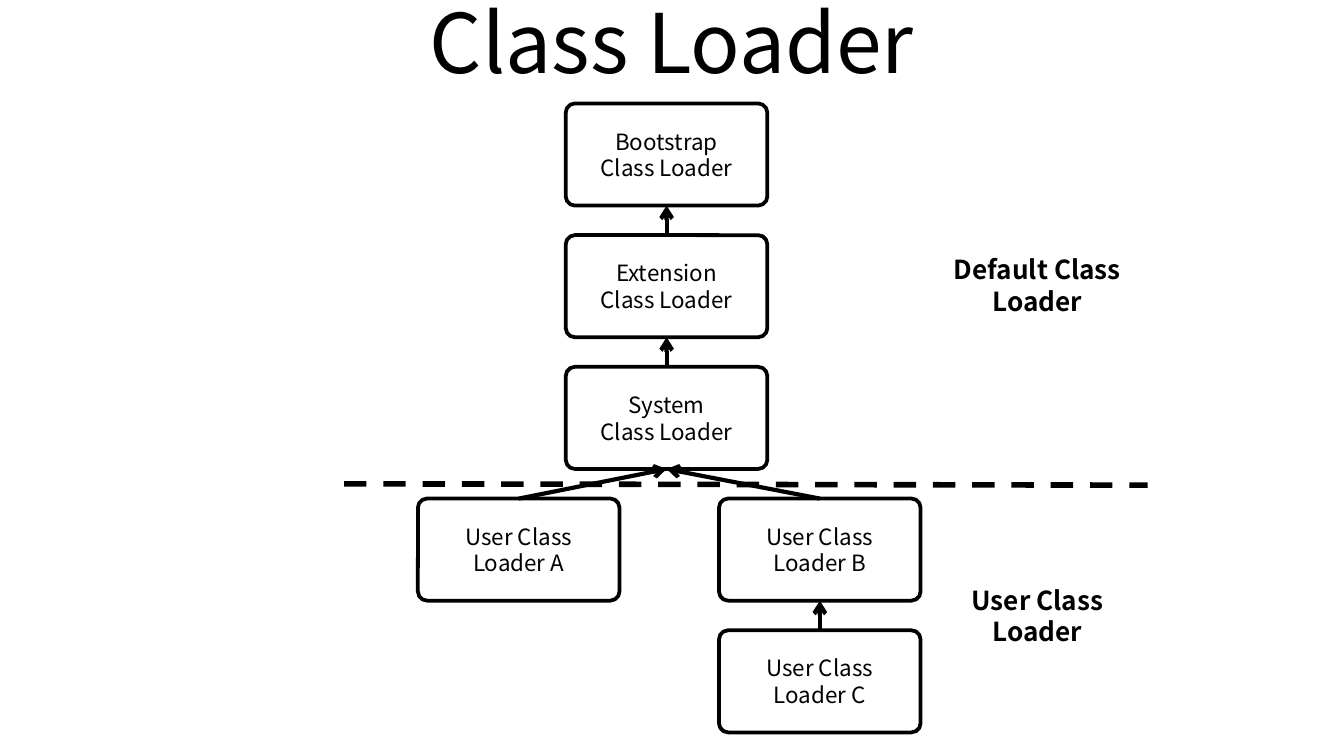
from pptx import Presentation
from pptx.dml.color import RGBColor
from pptx.enum import dml, shapes, text
from pptx.oxml.ns import qn
from pptx.util import Inches, Pt
from lxml import etree

FONT = "Noto Sans CJK KR"
BLACK = RGBColor(0, 0, 0)
WHITE = RGBColor(255, 255, 255)

TITLE = "Class Loader"
LOADERS = {
    "bootstrap": ("Bootstrap\nClass Loader", 4.21, 0),
    "extension": ("Extension\nClass Loader", 4.21, 1),
    "system": ("System\nClass Loader", 4.21, 2),
    "user_a": ("User Class Loader A", 3.11, 3),
    "user_b": ("User Class Loader B", 5.35, 3),
    "user_c": ("User Class Loader C", 5.35, 4),
}
PARENTS = [
    ("extension", "bootstrap"),
    ("system", "extension"),
    ("user_a", "system"),
    ("user_b", "system"),
    ("user_c", "user_b"),
]
GROUPS = [("User Class Loader", 4.2), ("Default Class Loader", 1.74)]
GROUP_LEFT = 6.97
BOX_WIDTH, BOX_HEIGHT = 1.5, 0.76
FIRST_TOP, ROW_STEP = 0.77, 0.98
TOP, BOTTOM = 0, 2


def write(frame, words, size, bold=False):
    frame.text = words
    frame.word_wrap = True
    frame.vertical_anchor = text.MSO_ANCHOR.MIDDLE
    for paragraph in frame.paragraphs:
        paragraph.alignment = text.PP_ALIGN.CENTER
        paragraph.font.name = FONT
        paragraph.font.size = Pt(size)
        paragraph.font.bold = bold
        paragraph.font.color.rgb = BLACK


def add_box(slide, words, left, top, size=12, bold=False, outlined=True):
    box = slide.shapes.add_shape(
        shapes.MSO_SHAPE.ROUNDED_RECTANGLE,
        Inches(left), Inches(top), Inches(BOX_WIDTH), Inches(BOX_HEIGHT))
    box.adjustments[0] = 0.09
    box.shadow.inherit = False
    box.fill.solid()
    box.fill.fore_color.rgb = WHITE
    if outlined:
        box.line.color.rgb = BLACK
        box.line.width = Pt(2)
    else:
        box.line.fill.background()
    write(box.text_frame, words, size, bold)
    return box


def add_line(slide, start, end, width):
    line = slide.shapes.add_connector(
        shapes.MSO_CONNECTOR.STRAIGHT, *map(Inches, start + end))
    line.line.color.rgb = BLACK
    line.line.width = Pt(width)
    etree.SubElement(line._element.spPr, qn("a:effectLst"))
    return line


def add_arrow(slide, child, parent):
    arrow = add_line(slide, (0, 0), (0, 0), 2.25)
    arrow.begin_connect(child, TOP)
    arrow.end_connect(parent, BOTTOM)
    etree.SubElement(arrow.line._get_or_add_ln(), qn("a:tailEnd"), type="arrow")


def main():
    deck = Presentation()
    deck.slide_width = Inches(10)
    deck.slide_height = deck.slide_width * 9 // 16
    slide = deck.slides.add_slide(deck.slide_layouts[5])

    title = slide.shapes.title
    title.left, title.top = Inches(0.5), Inches(-0.17)
    title.width, title.height = Inches(9), Inches(0.94)
    write(title.text_frame, TITLE, 44)

    boxes = {
        name: add_box(slide, words, left, FIRST_TOP + row * ROW_STEP)
        for name, (words, left, row) in LOADERS.items()
    }
    for child, parent in PARENTS:
        add_arrow(slide, boxes[child], boxes[parent])

    divider = add_line(slide, (2.56, 3.6), (8.54, 3.61), 3)
    divider.line.dash_style = dml.MSO_LINE.DASH

    for words, top in GROUPS:
        add_box(slide, words, GROUP_LEFT, top, 14, True, outlined=False)

    deck.save("out.pptx")


if __name__ == "__main__":
    main()
